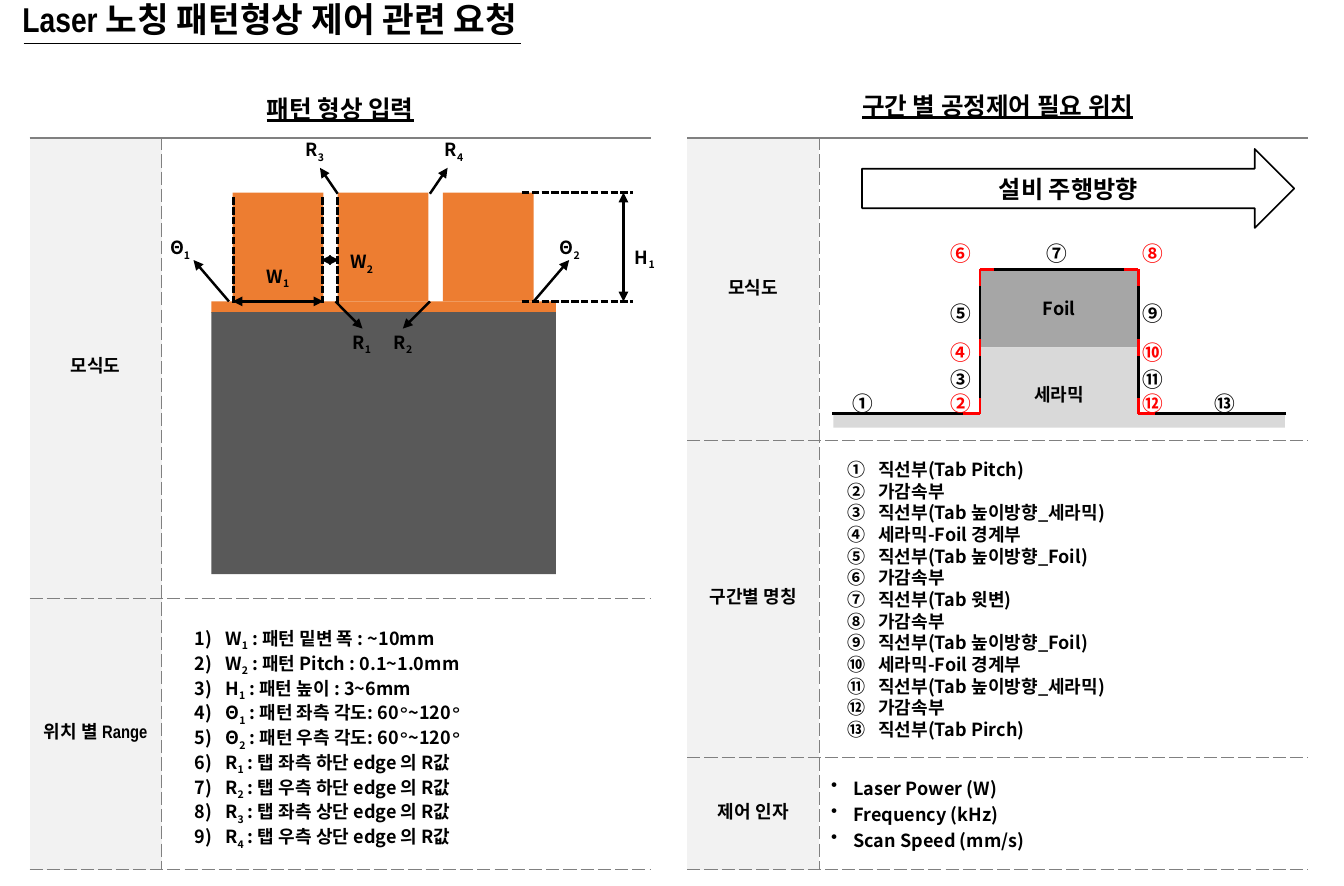
from dataclasses import dataclass

from pptx import Presentation
from pptx.dml.color import RGBColor
from pptx.enum.dml import MSO_LINE
from pptx.enum.shapes import MSO_CONNECTOR, MSO_SHAPE as SHAPE
from pptx.enum.text import MSO_ANCHOR as ANCHOR, PP_ALIGN as ALIGN
from pptx.oxml.ns import qn
from pptx.util import Pt
from lxml.etree import SubElement


@dataclass(frozen=True)
class Theme:
    black: str = "000000"
    red: str = "FF0000"
    copper: str = "ED7D31"
    body: str = "595959"
    foil: str = "A6A6A6"
    ceramic: str = "D9D9D9"
    label_fill: str = "F2F2F2"
    header_fill: str = "FFFFFF"
    rule: str = "808080"
    head_font: str = "Arial Narrow"
    text_font: str = "Noto Sans CJK KR"
    title: float = 21
    header: float = 15
    arrow: float = 14.7
    number: float = 12.6
    text: float = 11


THEME = Theme()
SOLID, DASHED = (1.5, "solid"), (0.5, "sysDash")
LABEL_W, CONTENT_W = 80.6, 298.1


def write(frame, *lines, size=THEME.text, font=THEME.text_font, color=THEME.black,
          align=ALIGN.CENTER, underline=False, spacing=None, bullet=None, indent=18.7):
    """Fill a text frame; pieces between bars are subscripts, or a raised degree ring."""
    for index, line in enumerate(lines):
        para = frame.add_paragraph() if index else frame.paragraphs[0]
        para.alignment = align
        if spacing:
            para.line_spacing = Pt(spacing)
        if bullet:
            props = para._p.get_or_add_pPr()
            props.set("marL", str(Pt(indent)))
            props.set("indent", str(Pt(-indent)))
            if bullet == "•":
                SubElement(props, qn("a:buChar"), char=bullet)
            else:
                SubElement(props, qn("a:buAutoNum"), type=bullet)
        for order, piece in enumerate(line.split("|")):
            if not piece:
                continue
            run = para.add_run()
            run.text = piece
            run.font.size, run.font.bold, run.font.name = Pt(size), True, font
            run.font.underline = underline
            run.font.color.rgb = RGBColor.from_string(color)
            run_props = run._r.get_or_add_rPr()
            SubElement(run_props, qn("a:ea"), typeface=font)
            if order % 2:
                run_props.set("baseline", "30000" if piece == "ㅇ" else "-25000")


def text_box(slide, x, y, w, h, *lines, inset=(7.2, 3.6), **style):
    frame = slide.shapes.add_textbox(Pt(x), Pt(y), Pt(w), Pt(h)).text_frame
    frame.word_wrap = True
    frame.margin_left = frame.margin_right = Pt(inset[0])
    frame.margin_top = frame.margin_bottom = Pt(inset[1])
    style.setdefault("spacing", 1.2 * style.get("size", THEME.text))
    write(frame, *lines, **style)


def label(slide, cx, cy, text, **style):
    text_box(slide, cx - 32, cy - 10.5, 64, 21, text, **style)


def block(slide, x, y, w, h, fill=None, kind=SHAPE.RECTANGLE):
    shape = slide.shapes.add_shape(kind, Pt(x), Pt(y), Pt(w), Pt(h))
    shape.shadow.inherit = False
    if fill:
        shape.fill.solid()
        shape.fill.fore_color.rgb = RGBColor.from_string(fill)
        shape.line.fill.background()
    else:
        shape.fill.background()
        shape.line.color.rgb = RGBColor.from_string(THEME.black)
        shape.line.width = Pt(1)
    return shape


def line(slide, x1, y1, x2, y2, color=THEME.black, width=1.5, dashed=False, arrows=()):
    stroke = slide.shapes.add_connector(MSO_CONNECTOR.STRAIGHT, Pt(x1), Pt(y1), Pt(x2), Pt(y2))
    stroke.line.color.rgb = RGBColor.from_string(color)
    stroke.line.width = Pt(width)
    if dashed:
        stroke.line.dash_style = MSO_LINE.SQUARE_DOT
    for end in arrows:
        SubElement(stroke.line._get_or_add_ln(), qn(f"a:{end}"), type="triangle")
    SubElement(stroke._element.spPr, qn("a:effectLst"))


BOTH, TIP = ("headEnd", "tailEnd"), ("tailEnd",)


def dress_cell(cell, fill=None, **borders):
    """Set borders by edge letter (L, R, T, B), clear the rest, then fill."""
    props = cell._tc.get_or_add_tcPr()
    for edge in "LRTB":
        width, dash = borders.get(edge, (0, None))
        border = SubElement(props, qn(f"a:ln{edge}"), w=str(Pt(width)))
        if dash:
            paint = SubElement(border, qn("a:solidFill"))
            SubElement(paint, qn("a:srgbClr"), val=THEME.rule)
            SubElement(border, qn("a:prstDash"), val=dash)
        else:
            SubElement(border, qn("a:noFill"))
    if fill:
        cell.fill.solid()
        cell.fill.fore_color.rgb = RGBColor.from_string(fill)
    else:
        cell.fill.background()
    cell.vertical_anchor = ANCHOR.MIDDLE


def framed_table(slide, x, y, header, heights, labels):
    """Return the table and the top left corner of each content cell."""
    table = slide.shapes.add_table(len(heights), 2, Pt(x), Pt(y), Pt(LABEL_W + CONTENT_W),
                                   Pt(sum(heights))).table
    table.first_row = table.horz_banding = False
    table.columns[0].width, table.columns[1].width = Pt(LABEL_W), Pt(CONTENT_W)
    for row, height in zip(table.rows, heights):
        row.height = Pt(height)
    for cell in table.rows[0].cells:
        dress_cell(cell, THEME.header_fill, B=SOLID)
    table.cell(0, 0).merge(table.cell(0, 1))
    write(table.cell(0, 0).text_frame, header, size=THEME.header, font=THEME.head_font,
          underline=True)
    corners = []
    for index, name in enumerate(labels, 1):
        above = SOLID if index == 1 else DASHED
        side, content = table.cell(index, 0), table.cell(index, 1)
        dress_cell(side, THEME.label_fill, R=DASHED, T=above, B=DASHED)
        dress_cell(content, L=DASHED, T=above, B=DASHED)
        side.margin_left = side.margin_right = Pt(1.5)
        write(side.text_frame, name, font=THEME.head_font)
        corners.append((x + LABEL_W, y + sum(heights[:index])))
    return table, corners


def pattern_diagram(slide, x, y):
    tab_w, pitch = 55.4, 64.1
    first, top, foot = x + 43.2, y + 33.1, y + 99.4
    block(slide, x + 30.2, foot, 210.2, 7, THEME.copper)
    for tab in range(3):
        block(slide, first + tab * pitch, top, tab_w, foot - top, THEME.copper)
    block(slide, x + 30.2, foot + 6.5, 210.2, 159.8, THEME.body)

    for edge in (first + 0.7, first + tab_w - 0.7, first + pitch):
        line(slide, edge, top + 2.9, edge, foot + 1.4, dashed=True)
    for level in (top, foot):
        line(slide, x + 219.6, level, x + 287.3, level, dashed=True)
    line(slide, first, foot, first + tab_w, foot, arrows=BOTH)
    line(slide, x + 97.2, y + 74.2, x + 108, y + 74.2, arrows=BOTH)
    line(slide, x + 281.5, top, x + 281.5, foot, arrows=BOTH)
    for start, level, dx, dy in ((41, foot, -21.6, -25.2), (226.8, foot, 21.6, -25.2),
                                 (105.9, foot, 16.5, 16.6), (163.5, foot, -16.5, 16.6),
                                 (107.3, top + 0.7, -10.8, -15.8),
                                 (163.5, top + 0.7, 10.8, -15.8)):
        line(slide, x + start, level, x + start + dx, level + dy, arrows=TIP)
    for mark, cx, cy in (("R|3|", 93.3, 9), ("R|4|", 178.2, 9), ("Θ|1|", 11.2, 68.8),
                         ("Θ|2|", 248.8, 68.8), ("H|1|", 294.5, 74.5), ("W|1|", 70.9, 86),
                         ("W|2|", 122, 77.4), ("R|1|", 122, 126.4), ("R|2|", 147.2, 126.4)):
        label(slide, x + cx, y + cy, mark)


def section_diagram(slide, x, y):
    arrow = block(slide, x + 26, y + 6.5, 263.5, 48.2, kind=SHAPE.RIGHT_ARROW)
    arrow.text_frame.vertical_anchor = ANCHOR.MIDDLE
    write(arrow.text_frame, "설비 주행방향", size=THEME.arrow)

    middle, side, top, ground = 146.2, 97.9, 79.9, 167.8
    block(slide, x + 8.6, y + 167, 275.2, 9.4, THEME.ceramic)
    block(slide, x + side, y + top, 96.6, 47.5, THEME.foil)
    block(slide, x + side, y + 127.4, 96.6, 43.2, THEME.ceramic)
    label(slide, x + middle, y + 104, "Foil")
    label(slide, x + middle, y + 156.6, "세라믹")

    black, red = THEME.black, THEME.red
    outline = ((7.9, ground, None), (87.8, ground, black), (side, ground, red),
               (side, 158.4, red), (side, 132.5, black), (side, 122.4, red),
               (side, 90, black), (side, top, red), (106.6, top, red), (middle, top, black))
    for (x1, y1, _), (x2, y2, color) in zip(outline, outline[1:]):
        line(slide, x + x1, y + y1, x + x2, y + y2, color)
        line(slide, x + 2 * middle - x1, y + y1, x + 2 * middle - x2, y + y2, color)

    levels = [160.9, 160.9, 146.5, 130, 106.2, 69.5]
    centres = [26.3] + [86] * 5 + [144.6] + [203.4] * 5 + [247.3]
    rows = levels + [69.5] + levels[::-1]
    for index, (number, cx, cy) in enumerate(zip("①②③④⑤⑥⑦⑧⑨⑩⑪⑫⑬", centres, rows)):
        label(slide, x + cx, y + cy, number, size=THEME.number, color=red if index % 2 else black)


def title(slide, x, y):
    text_box(slide, x, y, 360, 25, "Laser 노칭 패턴형상 제어 관련 요청", inset=(0, 0),
             size=THEME.title, font=THEME.head_font, align=ALIGN.LEFT)
    line(slide, x + 0.7, y + 28, x + 303.8, y + 28, width=0.5)


def pattern_panel(slide, x, y):
    _, (drawing, ranges) = framed_table(slide, x, y, "패턴 형상 입력", (31.7, 280.1, 165.6),
                                        ("모식도", "위치 별 Range"))
    pattern_diagram(slide, *drawing)
    corners = ("좌측 하단", "우측 하단", "좌측 상단", "우측 상단")
    text_box(slide, ranges[0] + 13, ranges[1] + 14.4, 210, 127.4,
             "W|1| : 패턴 밑변 폭 : ~10mm", "W|2| : 패턴 Pitch : 0.1~1.0mm",
             "H|1| : 패턴 높이 : 3~6mm",
             *(f"Θ|{n}| : 패턴 {side} 각도: 60|ㅇ|~120|ㅇ|" for n, side in ((1, "좌측"), (2, "우측"))),
             *(f"R|{n}| : 탭 {corner} edge 의 R값" for n, corner in enumerate(corners, 1)),
             align=ALIGN.LEFT, spacing=15.1, bullet="arabicParenR")


def section_panel(slide, x, y):
    table, (drawing, names, _) = framed_table(
        slide, x, y, "구간 별 공정제어 필요 위치", (35.3, 184.3, 193, 68.4),
        ("모식도", "구간별 명칭", "제어 인자"))
    section_diagram(slide, *drawing)
    ramp = "가감속부"
    climb = [ramp, "직선부(Tab 높이방향_세라믹)", "세라믹-Foil 경계부", "직선부(Tab 높이방향_Foil)", ramp]
    text_box(slide, names[0] + 10, names[1] + 7.2, 210, 180.7,
             "직선부(Tab Pitch)", *climb, "직선부(Tab 윗변)", *climb[::-1], "직선부(Tab Pirch)",
             align=ALIGN.LEFT, bullet="circleNumDbPlain")
    write(table.cell(3, 1).text_frame, "Laser Power (W)", "Frequency (kHz)", "Scan Speed (mm/s)",
          align=ALIGN.LEFT, bullet="•", indent=13.5)


def main():
    deck = Presentation()
    deck.slide_width, deck.slide_height = Pt(819.4), Pt(540)
    slide = deck.slides.add_slide(deck.slide_layouts[6])
    title(slide, 13.7, -1.4)
    pattern_panel(slide, 18, 52.6)
    section_panel(slide, 419, 49)
    deck.save("out.pptx")


if __name__ == "__main__":
    main()
